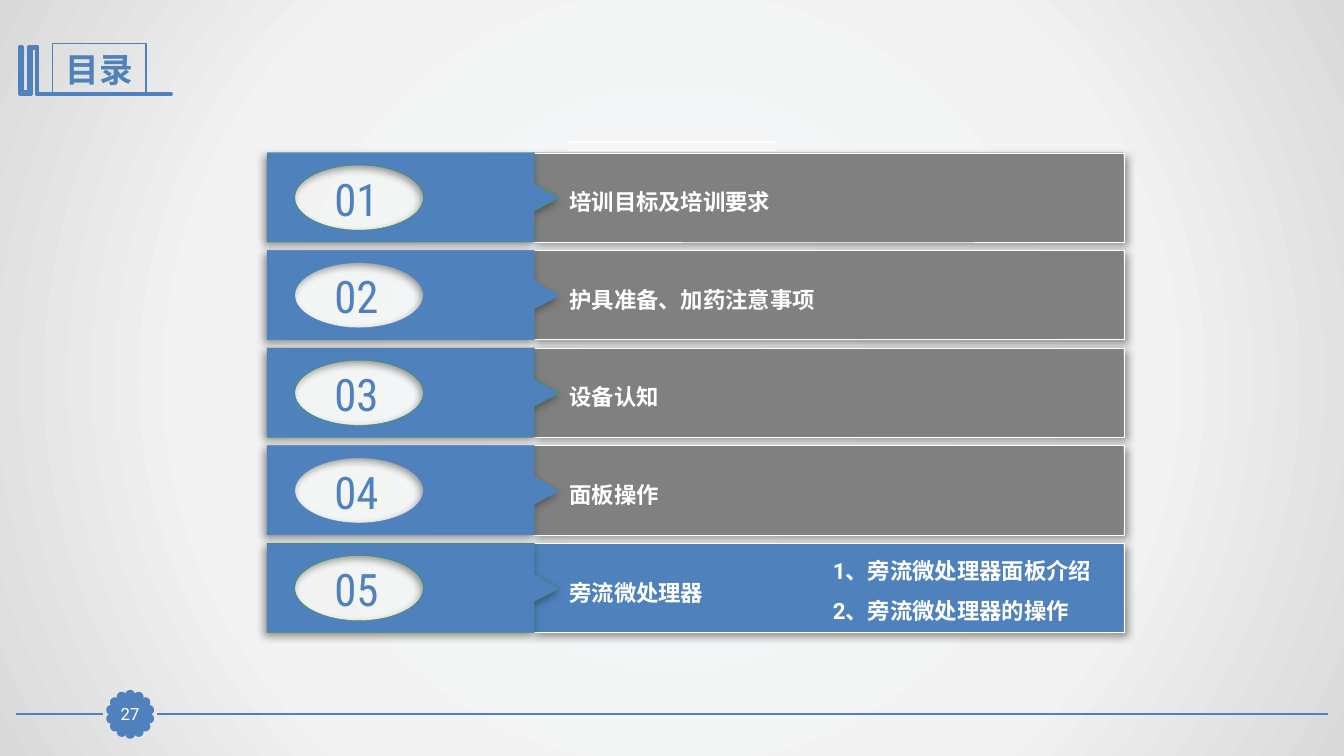
"""Build the agenda slide with five numbered rows, the last one highlighted."""
from math import cos, pi, sin

from pptx import Presentation
from pptx.dml.color import RGBColor
from pptx.enum.shapes import MSO_CONNECTOR, MSO_SHAPE
from pptx.enum.text import MSO_ANCHOR as ANCHOR, PP_ALIGN as ALIGN
from pptx.oxml import parse_xml
from pptx.oxml.ns import nsdecls
from pptx.util import Cm, Pt

COLORS = {"blue": "4F81BD", "grey": "808080", "white": "FFFFFF",
          "green": "339933", "cyan": "28A9D6", "black": "000000"}
BACKGROUND = [(0, "F6F9FC"), (63, "F2F2F2"), (100, "D9D9D9")]
HEAD, BODY = "Roboto Condensed", "Roboto"
TOPICS = ["培训目标及培训要求", "护具准备、加药注意事项", "设备认知", "面板操作", "旁流微处理器"]
SUBTOPICS = ["1、旁流微处理器面板介绍", "2、旁流微处理器的操作"]
BOOKS = [(0.94, 1.17), (0.96, 1.17), (0.96, 2.35), (4.33, 2.35), (4.33, 2.39),
         (0.91, 2.39), (0.91, 1.22), (0.79, 1.22), (0.79, 2.39), (0.49, 2.39),
         (0.49, 1.17), (0.57, 1.17), (0.57, 2.31), (0.71, 2.31), (0.71, 1.17)]
ROW_TOP, ROW_STEP, ROW_HEIGHT = 3.85, 2.46, 2.25


def rgb(name):
    return RGBColor.from_string(COLORS[name])


def paint(s, fill, line, width):
    if fill:
        s.fill.solid()
        s.fill.fore_color.rgb = rgb(fill)
    else:
        s.fill.background()
    s.line.color.rgb = rgb(line)
    s.line.width = Pt(width)


def write(s, text, font, size, color, bold=False, align=ALIGN.LEFT, anchor=ANCHOR.TOP):
    tf = s.text_frame
    tf.word_wrap = True
    tf.vertical_anchor = anchor
    p = tf.paragraphs[0]
    p.text = text
    p.alignment = align
    p.font.name, p.font.size, p.font.bold = font, Pt(size), bold
    p.font.color.rgb = rgb(color)


def add_text(shapes, box, text, *style, **layout):
    s = shapes.add_textbox(*map(Cm, box))
    write(s, text, *style, **layout)


def add_preset(shapes, kind, box, fill, line, width):
    s = shapes.add_shape(kind, *map(Cm, box))
    s.shadow.inherit = False
    paint(s, fill, line, width)
    return s


def add_outline(shapes, contours, fill, line, width):
    builder = None
    for contour in contours:
        start, *rest = [(Cm(x), Cm(y)) for x, y in contour]
        if builder is None:
            builder = shapes.build_freeform(*start)
        else:
            builder.move_to(*start)
        builder.add_line_segments(rest, close=True)
    s = builder.convert_to_shape()
    s.shadow.inherit = False
    paint(s, fill, line, width)
    return s


def add_line(shapes, x1, x2, y, color, width):
    s = shapes.add_connector(MSO_CONNECTOR.STRAIGHT, Cm(x1), Cm(y), Cm(x2), Cm(y))
    s.line.color.rgb = rgb(color)
    s.line.width = Pt(width)
    s._element.spPr.append(parse_xml(f"<a:effectLst {nsdecls('a')}/>"))


def cast_shadow(s, degrees):
    s._element.spPr.find("{*}effectLst").append(parse_xml(
        f'<a:outerShdw {nsdecls("a")} blurRad="{Pt(6)}" dist="{Pt(3)}" '
        f'dir="{degrees * 60000}" algn="ctr" rotWithShape="0">'
        f'<a:srgbClr val="{COLORS["black"]}"><a:alpha val="40000"/></a:srgbClr>'
        '</a:outerShdw>'))


def curve_segments(s, count):
    segments = list(s._element.iter("{*}lnTo"))[:3 * count]
    for i in range(0, len(segments), 3):
        curve = parse_xml(f"<a:cubicBezTo {nsdecls('a')}/>")
        segments[i].addprevious(curve)
        for segment in segments[i:i + 3]:
            curve.append(segment[0])
            segment.getparent().remove(segment)


def set_background(slide):
    stops = "".join(f'<a:gs pos="{pos * 1000}"><a:srgbClr val="{color}"/></a:gs>'
                    for pos, color in BACKGROUND)
    slide._element.cSld.insert(0, parse_xml(
        f'<p:bg {nsdecls("p", "a")}><p:bgPr><a:gradFill><a:gsLst>{stops}</a:gsLst>'
        '<a:path path="circle"><a:fillToRect l="50000" t="50000" r="50000" b="50000"/>'
        '</a:path></a:gradFill><a:effectLst/></p:bgPr></p:bg>'))


def add_heading(slide, text):
    add_outline(slide.shapes, [BOOKS], "cyan", "blue", 2)
    title = slide.shapes.title
    title.left, title.top, title.width, title.height = map(Cm, (1.32, 1.1, 2.36, 1.28))
    paint(title, None, "blue", 0.75)
    write(title, text, HEAD, 24, "blue", True, ALIGN.CENTER, ANCHOR.MIDDLE)


def add_page_badge(shapes, number):
    add_line(shapes, 33.48, 3.97, 18, "blue", 1.25)
    add_line(shapes, 2.59, 0.4, 18, "blue", 1.25)
    x, y, radius, dot, petals = 3.28, 18, 0.49, 0.18, 14
    rosette = shapes.add_group_shape().shapes
    for i in range(petals):
        angle = 2 * pi * i / petals
        box = (x + radius * sin(angle) - dot / 2, y - radius * cos(angle) - dot / 2, dot, dot)
        petal = add_preset(rosette, MSO_SHAPE.OVAL, box, "blue", "blue", 2)
        petal.rotation = 360 * i / petals
    s = add_preset(shapes, MSO_SHAPE.RECTANGLE, (2.87, 17.6, 0.82, 0.8), "blue", "blue", 0.75)
    tf = s.text_frame
    tf.margin_left = tf.margin_right = tf.margin_top = tf.margin_bottom = 0
    write(s, number, BODY, 12, "white", align=ALIGN.CENTER, anchor=ANCHOR.MIDDLE)


def add_tag(shapes, top, line):
    left, right, tip = 6.73, 13.47, 14.1
    arrow = [(left, top), (right, top), (right, top + 0.78), (tip, top + 1.14),
             (right, top + 1.47), (right, top + ROW_HEIGHT), (left, top + ROW_HEIGHT)]
    k = 0.55
    unit = [(0, -1), (-k, -1), (-1, -k), (-1, 0), (-1, k), (-k, 1), (0, 1),
            (k, 1), (1, k), (1, 0), (1, -k), (k, -1), (0, -1)]
    hole = [(9.05 + 1.62 * x, top + 1.13 + 0.82 * y) for x, y in unit]
    s = add_outline(shapes, [hole, arrow], "blue", line, 0.25)
    curve_segments(s, 4)
    cast_shadow(s, 135)


def add_row(shapes, index, topic):
    top = ROW_TOP + index * ROW_STEP
    current = index == len(TOPICS) - 1
    row = shapes.add_group_shape().shapes
    bar = add_preset(row, MSO_SHAPE.RECTANGLE, (13.41, top, 14.91, ROW_HEIGHT),
                     "blue" if current else "grey", "white", 0.25)
    cast_shadow(bar, 45)
    add_tag(row, top, "blue" if index % 2 else "green")
    add_text(row, (7.7, top + 0.33, 2.57, 1.63), f"{index + 1:02}", HEAD, 32, "blue",
             align=ALIGN.CENTER, anchor=ANCHOR.MIDDLE)
    add_text(row, (14.1, top + 0.77, 14.24, 0.94), topic, BODY, 16, "white", True)


def main():
    prs = Presentation()
    prs.slide_width, prs.slide_height = Cm(33.87), Cm(19.05)
    slide = prs.slides.add_slide(prs.slide_layouts[5])
    shapes = slide.shapes
    set_background(slide)
    add_heading(slide, "目录")
    add_page_badge(shapes, "27")
    for y in (3.58, 3.78):
        add_line(shapes, 14.33, 19.53, y, "white", 1.5)
    for i, topic in enumerate(TOPICS):
        add_row(shapes, i, topic)
    for i, subtopic in enumerate(SUBTOPICS):
        add_text(shapes, (20.74, 13.92 + i * 1.01, 14.24, 0.94), subtopic, BODY, 16, "white", True)
    prs.save("out.pptx")


if __name__ == "__main__":
    main()
